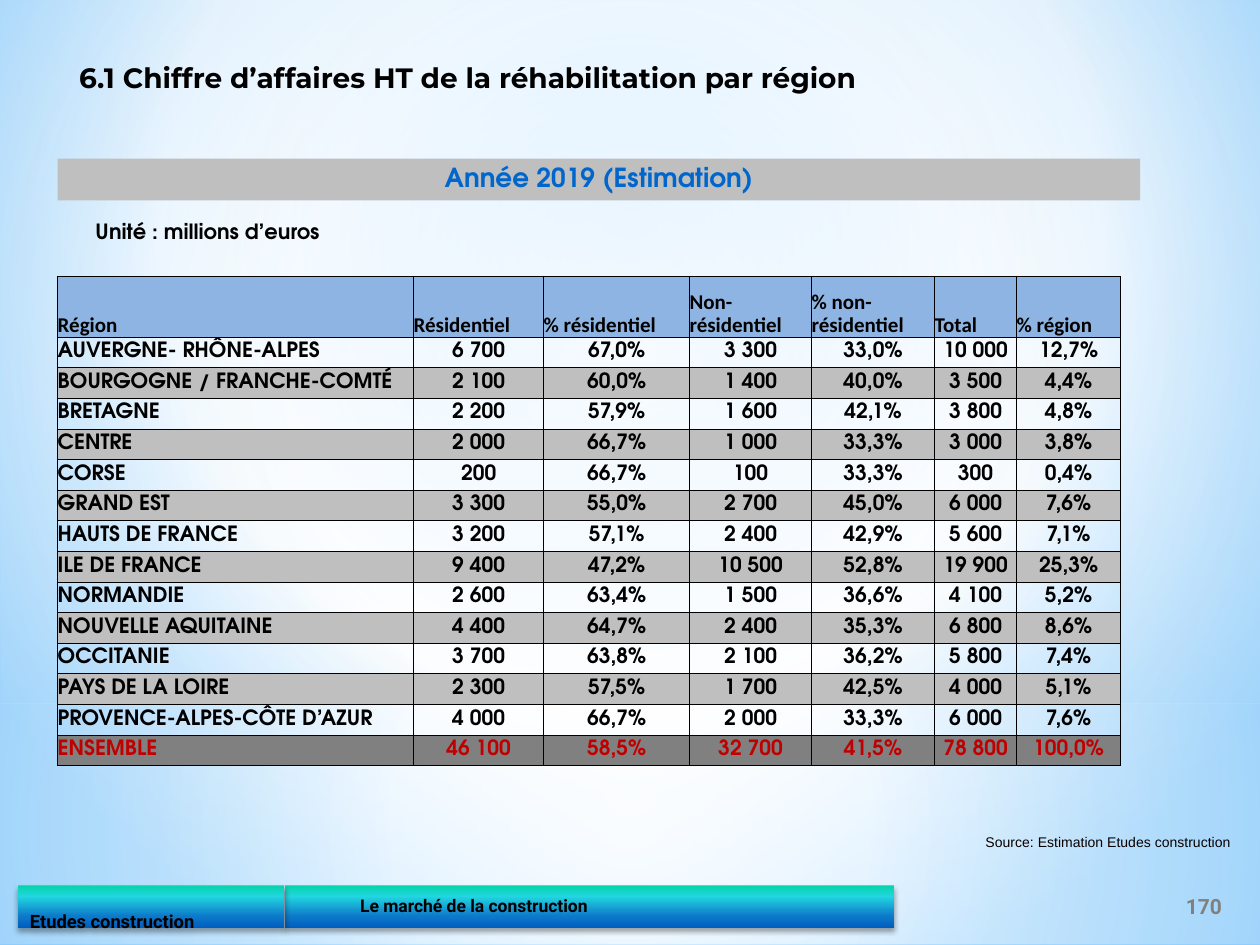
from dataclasses import dataclass

from pptx import Presentation
from pptx import util as u
from pptx.dml.color import RGBColor
from pptx.enum import shapes, text
from pptx.oxml import parse_xml
from pptx.oxml.ns import nsdecls, qn

LEFT, CENTER, RIGHT = text.PP_ALIGN.LEFT, text.PP_ALIGN.CENTER, text.PP_ALIGN.RIGHT
JUSTIFY = text.PP_ALIGN.JUSTIFY
TOP, MIDDLE, BOTTOM = text.MSO_ANCHOR.TOP, text.MSO_ANCHOR.MIDDLE, text.MSO_ANCHOR.BOTTOM


@dataclass(frozen=True)
class Theme:
    # Colours
    ink: str = "000000"
    source_ink: str = "080000"
    blue: str = "0066CC"
    red: str = "C00000"
    header: str = "8DB4E2"
    band: str = "BFBFBF"
    gray: str = "808080"
    # Gradients: position %, colour, opacity %
    page: tuple = ((0, "9ED5FF", 100), (60, "FFFFFF", 100), (100, "5BB9FF", 100))
    upper: tuple = ((0, "FFFFFF", 89), (48, "FFFFFF", 62), (100, "B4DCFA", 79))
    lower: tuple = ((0, "FFFFFF", 91), (37, "FFFFFF", 76), (100, "B4DCFA", 79))
    footer: tuple = ((0, "03D4A8", 100), (25, "21D6E0", 100),
                     (72, "0D79CA", 100), (100, "005CBF", 100))
    # Fonts
    title_font: str = "Montserrat"
    body_font: str = "TeX Gyre Adventor"
    header_font: str = "Calibri"
    footer_font: str = "Roboto"
    source_font: str = "Arial"
    # Type sizes
    title: float = 16
    banner: float = 15
    body: float = 12
    brand: float = 10.5
    small: float = 10
    source: float = 8


def gradient(parent, stops, direction):
    """Replace the solid fill under parent with a gradient."""
    gs = "".join(f'<a:gs pos="{pos * 1000}"><a:srgbClr val="{color}">'
                 f'<a:alpha val="{alpha * 1000}"/></a:srgbClr></a:gs>'
                 for pos, color, alpha in stops)
    old = parent.find(qn("a:solidFill"))
    parent.replace(old, parse_xml(
        f'<a:gradFill {nsdecls("a")} rotWithShape="1"><a:gsLst>{gs}</a:gsLst>'
        f'{direction}</a:gradFill>'))


def circle(l, t, r, b):
    return (f'<a:path path="circle"><a:fillToRect l="{l * 1000}" t="{t * 1000}" '
            f'r="{r * 1000}" b="{b * 1000}"/></a:path>')


class Deck:
    def __init__(self, theme):
        self.t = theme
        self.prs = Presentation()
        self.prs.slide_width, self.prs.slide_height = u.Pt(720), u.Pt(540)
        self.s = self.prs.slides.add_slide(self.prs.slide_layouts[5])

    def background(self, stops):
        self.s.background.fill.solid()
        gradient(self.s.element.find(".//" + qn("p:bgPr")), stops, circle(20, 10, 20, 60))

    def set_text(self, tf, words, size, font, color=None, align=LEFT, bold=True, spacing=0.9):
        p = tf.paragraphs[0]
        p.add_run().text = words
        p.alignment, p.line_spacing = align, spacing
        f = p.font
        f.size, f.name, f.bold = u.Pt(size), font, bold
        f.color.rgb = RGBColor.from_string(color or self.t.ink)

    def title(self, box, words):
        sp = self.s.shapes.title
        sp.left, sp.top, sp.width, sp.height = map(u.Pt, box)
        sp.element.getparent().append(sp.element)  # in front of the backdrop
        tf = sp.text_frame
        tf.vertical_anchor, tf.auto_size = TOP, text.MSO_AUTO_SIZE.NONE
        self.set_text(tf, words, self.t.title, self.t.title_font, spacing=1.0)

    def label(self, box, words, size, font, anchor=TOP, **style):
        tf = self.s.shapes.add_textbox(*map(u.Pt, box)).text_frame
        tf.word_wrap, tf.vertical_anchor = True, anchor
        self.set_text(tf, words, size, font, **style)

    def block(self, box, color, kind=shapes.MSO_SHAPE.RECTANGLE):
        sp = self.s.shapes.add_shape(kind, *map(u.Pt, box))
        sp.shadow.inherit = False
        sp.fill.solid()
        sp.fill.fore_color.rgb = RGBColor.from_string(color)
        sp.line.fill.background()
        return sp

    def glow(self, box, stops):
        sp = self.block(box, self.t.band)
        gradient(sp.element.spPr, stops, circle(50, 50, 50, 50))

    def banner(self, box, words):
        tf = self.block(box, self.t.band).text_frame
        tf.vertical_anchor = TOP
        self.set_text(tf, words, self.t.banner, self.t.body_font, self.t.blue, CENTER)

    def footer(self, box, words, size, anchor=MIDDLE, margin_top=3.6):
        sp = self.block(box, self.t.band, shapes.MSO_SHAPE.FRAME)
        sp.adjustments[0] = 0.5
        gradient(sp.element.spPr, self.t.footer, '<a:lin ang="5400000" scaled="0"/>')
        sp.element.spPr.find(qn("a:effectLst")).append(parse_xml(
            f'<a:outerShdw {nsdecls("a")} blurRad="{u.Pt(3.1)}" dist="{u.Pt(1.8)}" '
            'dir="5400000" rotWithShape="0"><a:srgbClr val="000000">'
            '<a:alpha val="35000"/></a:srgbClr></a:outerShdw>'))
        tf = sp.text_frame
        tf.vertical_anchor, tf.margin_top = anchor, u.Pt(margin_top)
        self.set_text(tf, words, size, self.t.footer_font)

    def cell(self, c, words, fill, anchor, **style):
        c.margin_left = c.margin_right = c.margin_top = c.margin_bottom = 0
        c.vertical_anchor = anchor
        for side in ("lnL", "lnR", "lnT", "lnB"):
            c._tc.get_or_add_tcPr().append(parse_xml(
                f'<a:{side} {nsdecls("a")} w="{u.Pt(0.5)}"><a:solidFill>'
                f'<a:srgbClr val="{self.t.ink}"/></a:solidFill></a:{side}>'))
        if fill:
            c.fill.solid()
            c.fill.fore_color.rgb = RGBColor.from_string(fill)
        else:
            c.fill.background()
        self.set_text(c.text_frame, words, self.t.body, **style)

    def table(self, left, top, widths, heights, rows):
        t = self.t
        tbl = self.s.shapes.add_table(len(rows), len(widths), u.Pt(left), u.Pt(top),
                                      u.Pt(sum(widths)), u.Pt(sum(heights))).table
        tbl.first_row = tbl.horz_banding = False
        for col, w in zip(tbl.columns, widths):
            col.width = u.Pt(w)
        last = len(rows) - 1
        for i, (row, h) in enumerate(zip(rows, heights)):
            tbl.rows[i].height = u.Pt(h)
            for j, words in enumerate(row):
                c = tbl.cell(i, j)
                if i == 0:
                    self.cell(c, words, t.header, BOTTOM, font=t.header_font)
                elif i == last:
                    self.cell(c, words, t.gray, MIDDLE, font=t.body_font, color=t.red,
                              align=CENTER if j else JUSTIFY)
                else:
                    self.cell(c, words, None if i % 2 else t.band, MIDDLE,
                              font=t.body_font, align=CENTER if j else LEFT)


HEAD = ["Région", "Résidentiel", "% résidentiel", "Non-résidentiel",
        "% non- résidentiel", "Total", "% région"]
REGIONS = """AUVERGNE- RHÔNE-ALPES|6 700|67,0%|3 300|33,0%|10 000|12,7%
BOURGOGNE / FRANCHE-COMTÉ|2 100|60,0%|1 400|40,0%|3 500|4,4%
BRETAGNE|2 200|57,9%|1 600|42,1%|3 800|4,8%
CENTRE|2 000|66,7%|1 000|33,3%|3 000|3,8%
CORSE|200|66,7%|100|33,3%|300|0,4%
GRAND EST|3 300|55,0%|2 700|45,0%|6 000|7,6%
HAUTS DE FRANCE|3 200|57,1%|2 400|42,9%|5 600|7,1%
ILE DE FRANCE|9 400|47,2%|10 500|52,8%|19 900|25,3%
NORMANDIE|2 600|63,4%|1 500|36,6%|4 100|5,2%
NOUVELLE AQUITAINE|4 400|64,7%|2 400|35,3%|6 800|8,6%
OCCITANIE|3 700|63,8%|2 100|36,2%|5 800|7,4%
PAYS DE LA LOIRE|2 300|57,5%|1 700|42,5%|4 000|5,1%
PROVENCE-ALPES-CÔTE D’AZUR|4 000|66,7%|2 000|33,3%|6 000|7,6%
ENSEMBLE|46 100|58,5%|32 700|41,5%|78 800|100,0%"""


def main():
    t = Theme()
    d = Deck(t)

    # Backdrop
    d.background(t.page)
    d.glow((0, 402, 720, 138), t.lower)
    d.glow((0, 0, 720, 402), t.upper)

    # Footer: bars, page number and source
    d.footer((162.7, 506, 348, 24.5), "\tLe marché de la construction", t.small)
    d.footer((10, 506, 152.7, 24.5), "Etudes construction", t.brand, TOP, 15.7)
    d.label((666.7, 503.3, 42.5, 28.8), "170", t.body, t.footer_font, MIDDLE,
            color=t.gray, align=CENTER, spacing=1.0)
    d.label((551.5, 472.5, 159, 22), "Source: Estimation Etudes construction", t.source,
            t.source_font, color=t.source_ink, align=RIGHT, bold=False, spacing=1.0)

    # Headings
    d.label((47.5, 123, 164, 20), "Unité : millions d’euros", t.body, t.body_font)
    d.title((38, 31, 672, 32), "6.1 Chiffre d’affaires HT de la réhabilitation par région")
    d.banner((33, 90.7, 618.5, 23.8), "Année 2019 (Estimation)")

    # Turnover by region
    rows = [HEAD] + [line.split("|") for line in REGIONS.splitlines()]
    d.table(33, 157.7, [203.4, 74.3, 83.4, 69.7, 70.3, 46.9, 59.4],
            [35] + [17.5] * (len(rows) - 1), rows)

    d.prs.save("out.pptx")


if __name__ == "__main__":
    main()
